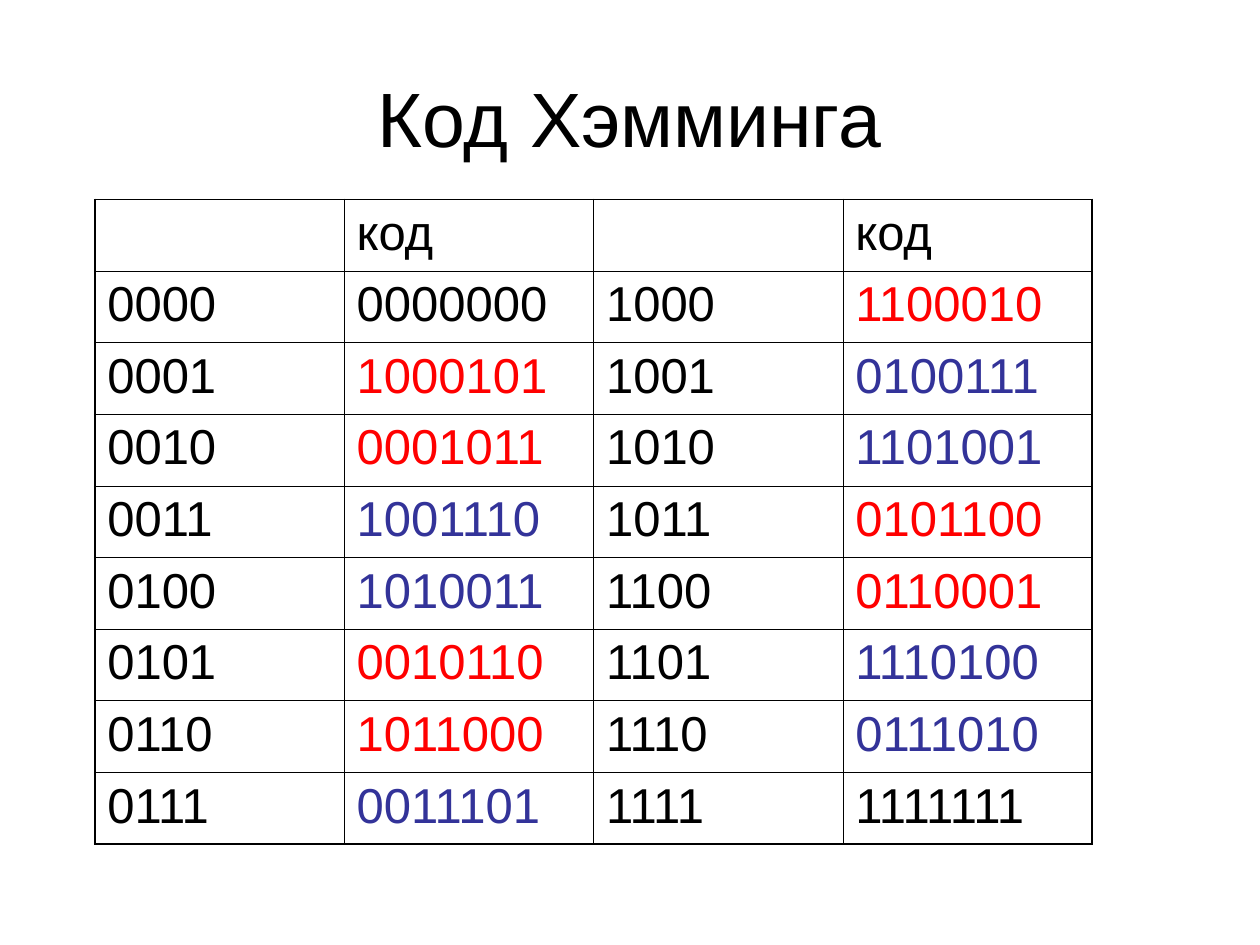
from lxml import etree
from pptx import Presentation
from pptx.dml.color import RGBColor
from pptx.enum.text import MSO_ANCHOR as Anchor, PP_ALIGN as Align
from pptx.oxml.ns import qn
from pptx.util import Cm, Pt

BLACK = RGBColor(0x00, 0x00, 0x00)
RED = RGBColor(0xFF, 0x00, 0x00)
BLUE = RGBColor(0x33, 0x33, 0x99)

FONT = "Arial"
INNER_LINE, OUTER_LINE = Pt(0.45), Pt(1.08)

# Codewords in the order of the data words 0000 to 1111
CODES = [
    "0000000", "1000101", "0001011", "1001110",
    "1010011", "0010110", "1011000", "0011101",
    "1100010", "0100111", "1101001", "0101100",
    "0110001", "1110100", "0111010", "1111111",
]
# Codewords are coloured by their number of ones
WEIGHT_COLORS = {3: RED, 4: BLUE}


def style_font(para, size, color=BLACK):
    para.font.name = FONT
    para.font.size = Pt(size)
    para.font.color.rgb = color


def add_title(page, left, top, width, height, text):
    box = page.shapes.add_textbox(left, top, width, height)
    frame = box.text_frame
    frame.word_wrap = True
    frame.vertical_anchor = Anchor.MIDDLE
    para = frame.paragraphs[0]
    para.text = text
    para.alignment = Align.CENTER
    style_font(para, 44)


def set_borders(cell, outer_sides):
    """Draw the cell's four borders, thicker on the table's outer edge."""
    properties = cell._tc.get_or_add_tcPr()
    for index, side in enumerate("LRTB"):
        width = OUTER_LINE if side in outer_sides else INNER_LINE
        line = etree.Element(qn("a:ln" + side), w=str(int(width)))
        fill = etree.SubElement(line, qn("a:solidFill"))
        etree.SubElement(fill, qn("a:srgbClr"), val=str(BLACK))
        properties.insert(index, line)


def code_rows():
    """Header, then two word and code pairs side by side."""
    half = len(CODES) // 2
    rows = [["", "код", "", "код"]]
    for low in range(half):
        rows.append([text for number in (low, low + half)
                     for text in (format(number, "04b"), CODES[number])])
    return rows


def add_code_table(page, left, top, width, height):
    rows = code_rows()
    last_row, last_column = len(rows) - 1, len(rows[0]) - 1
    table = page.shapes.add_table(
        len(rows), len(rows[0]), left, top, width, height).table
    table.first_row = table.horz_banding = False

    for row, texts in enumerate(rows):
        for column, text in enumerate(texts):
            cell = table.cell(row, column)
            cell.fill.background()
            para = cell.text_frame.paragraphs[0]
            para.text = text
            para.space_before = Pt(7)
            is_code = text in CODES
            color = WEIGHT_COLORS.get(text.count("1"), BLACK) if is_code else BLACK
            style_font(para, 28, color)

            edges = {"L": column == 0, "R": column == last_column,
                     "T": row == 0, "B": row == last_row}
            set_borders(cell, [side for side, outer in edges.items() if outer])


def main():
    deck = Presentation()
    deck.slide_width, deck.slide_height = Cm(25.4), Cm(19.05)
    page = deck.slides.add_slide(deck.slide_layouts[6])
    add_title(page, Cm(1.27), Cm(0.76), Cm(22.86), Cm(3.18), "Код Хэмминга")
    add_code_table(page, Cm(1.91), Cm(4.02), Cm(20.11), Cm(13))
    deck.save("out.pptx")


if __name__ == "__main__":
    main()
